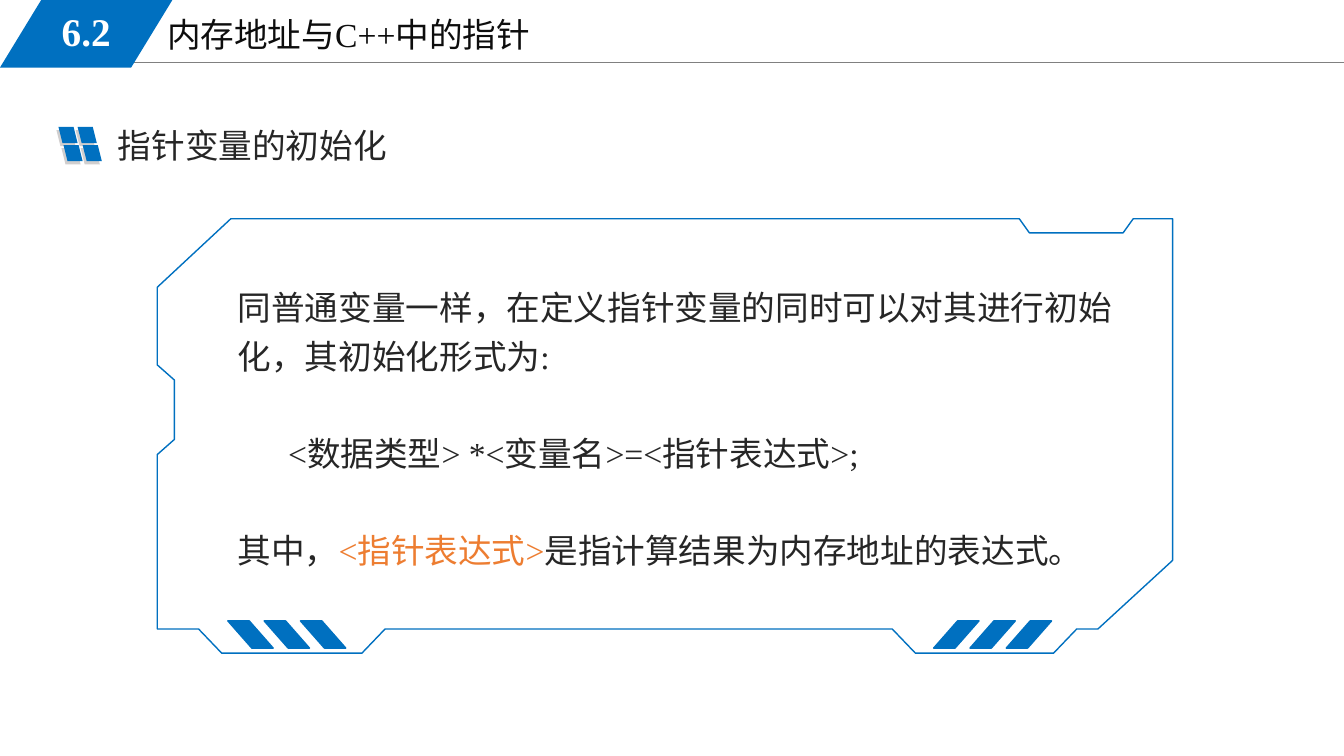
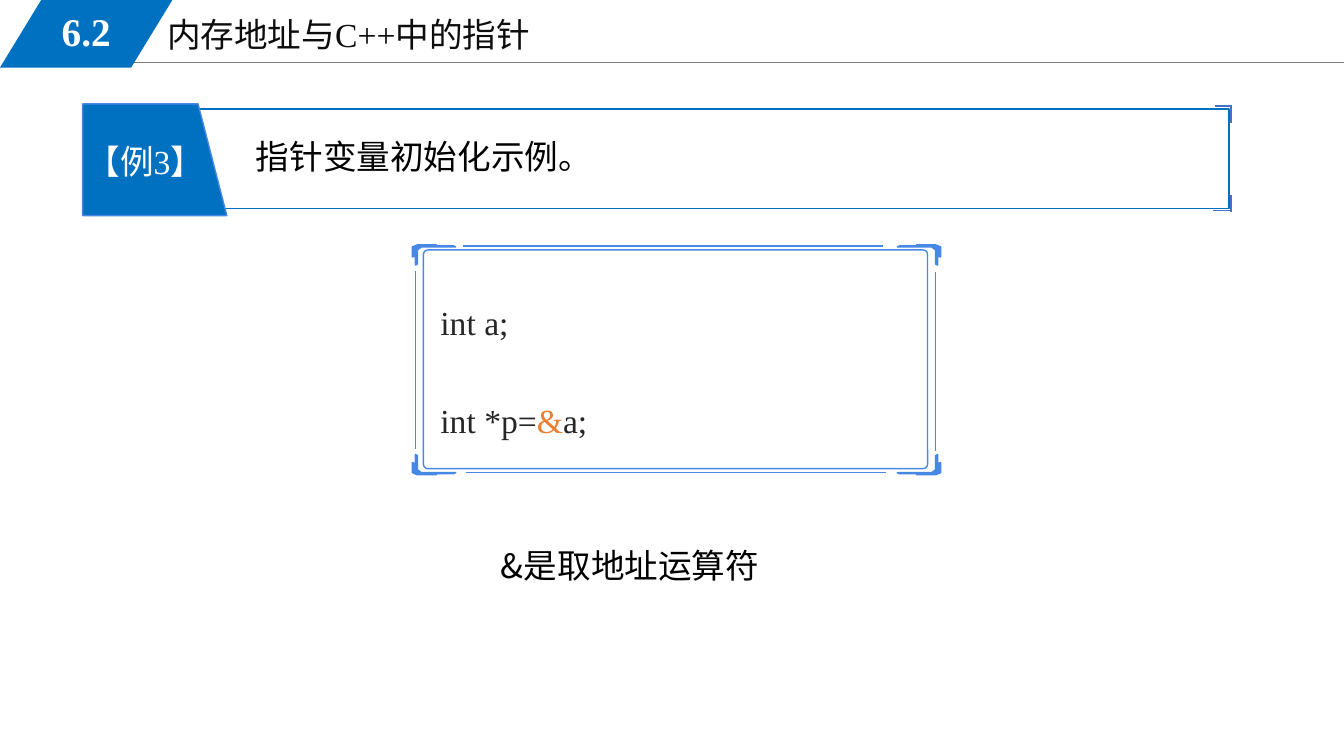
"""Build two slides on initialising pointer variables in C++."""
import pptx
import pptx.dml.color
import pptx.enum.shapes
import pptx.enum.text
import pptx.oxml.xmlchemy
import pptx.util

Inches = pptx.util.Inches
Pt = pptx.util.Pt
SHAPE = pptx.enum.shapes.MSO_SHAPE
ALIGN = pptx.enum.text.PP_ALIGN
ANCHOR = pptx.enum.text.MSO_ANCHOR

COLORS = {"blue": "0070C0", "bright": "4788E6", "mark": "4472C4", "rule": "808080",
          "shade": "D0CECE", "title": "0D0D0D", "body": "262626", "accent": "ED7D31",
          "white": "FFFFFF", "black": "000000"}
LATIN_FONT, CHINESE_FONT = "Times New Roman", "Noto Sans CJK SC"

SECTION_NUMBER, SECTION_TITLE = "6.2", "内存地址与C++中的指针"
TOPIC = "指针变量的初始化"
EXPLANATION = [
    [("同普通变量一样，在定义指针变量的同时可以对其进行初始化，其初始化形式为:", "body")],
    [("\t<数据类型> *<变量名>=<指针表达式>;", "body")],
    [("其中，", "body"), ("<指针表达式>", "accent"),
     ("是指计算结果为内存地址的表达式。", "body")],
]
EXAMPLE_LABEL, EXAMPLE_TITLE = "【例3】", "指针变量初始化示例。"
CODE = [
    [("int a;", "body")],
    [("int *p=", "body"), ("&", "accent"), ("a;", "body")],
]
NOTE = "&是取地址运算符"
SPACED = {"line_spacing": 1.2}
PARAGRAPH_GAP = Pt(35)

PANEL_OUTLINE = [
    (9.08, 6.48), (10.45, 6.48), (10.68, 6.24), (10.89, 6.24), (11.63, 5.56),
    (11.63, 2.17), (11.24, 2.17), (11.14, 2.31), (10.21, 2.31), (10.11, 2.17),
    (2.29, 2.17), (1.56, 2.85), (1.56, 3.62), (1.73, 3.77), (1.73, 4.36),
    (1.56, 4.51), (1.56, 6.24), (1.97, 6.24), (2.2, 6.48), (3.59, 6.48),
    (3.82, 6.24), (8.85, 6.24)]
STRIPE_GROUPS = [(2.26, True), (9.26, False)]
BRACKET_OUTLINE = [
    (4.14, 2.43), (4.33, 2.43), (4.31, 2.44), (4.5, 2.44), (4.52, 2.45),
    (4.18, 2.45), (4.14, 2.48), (4.14, 2.62), (4.12, 2.63), (4.12, 2.54),
    (4.09, 2.55), (4.09, 2.45)]
FRAME_CENTER = (6.71, 3.57)
FRAME_LINES = [(4.59, 2.44, 8.76, 2.44), (4.62, 4.69, 8.79, 4.69),
               (4.12, 2.69, 4.12, 4.45), (9.28, 2.7, 9.28, 4.47)]
CORNER_MARKS = [(12.05, 1.05, 12.22, 1.05), (12.21, 1.04, 12.21, 1.22),
                (12.21, 1.93, 12.21, 2.1), (12.21, 2.09, 12.03, 2.09)]


def rgb(name):
    return pptx.dml.color.RGBColor.from_string(COLORS[name])


def apply_format(target, values):
    for name, value in values.items():
        setattr(target, name, value)


def paint(shape, fill=None, line=None):
    shape.shadow.inherit = False
    if fill:
        shape.fill.solid()
        shape.fill.fore_color.rgb = rgb(fill)
    else:
        shape.fill.background()
    if line:
        shape.line.color.rgb = rgb(line)
        shape.line.width = Pt(1)
    else:
        shape.line.fill.background()


def add_shape(slide, kind, box, fill=None, line=None, adjustment=None, flip=False, rotation=0):
    shape = slide.shapes.add_shape(kind, *map(Inches, box))
    paint(shape, fill, line)
    shape.rotation = rotation
    if adjustment is not None:
        shape.adjustments[0] = adjustment
    if flip:
        shape._element.spPr.xfrm.set("flipH", "1")


def add_outline(slide, points, fill=None, line=None):
    start, *others = [(Inches(x), Inches(y)) for x, y in points]
    builder = slide.shapes.build_freeform(*start)
    builder.add_line_segments(others, close=True)
    paint(builder.convert_to_shape(), fill, line)


def add_line(slide, ends, color, width=1):
    connector = slide.shapes.add_connector(
        pptx.enum.shapes.MSO_CONNECTOR.STRAIGHT, *map(Inches, ends))
    connector.line.color.rgb = rgb(color)
    connector.line.width = Pt(width)
    connector._element.spPr.append(pptx.oxml.xmlchemy.OxmlElement("a:effectLst"))


def add_text(slide, box, paragraphs, font=None, layout=None, frame=None):
    text_frame = slide.shapes.add_textbox(*map(Inches, box)).text_frame
    apply_format(text_frame, {"word_wrap": True, **(frame or {})})
    for index, runs in enumerate(paragraphs):
        paragraph = text_frame.add_paragraph() if index else text_frame.paragraphs[0]
        apply_format(paragraph, layout or {})
        if index:
            paragraph.space_before = PARAGRAPH_GAP
        for text, color in runs:
            run = paragraph.add_run()
            run.text = text
            apply_format(run.font, {"name": LATIN_FONT, "size": Pt(24), **(font or {})})
            run.font.color.rgb = rgb(color)
            east_asian = pptx.oxml.xmlchemy.OxmlElement("a:ea")
            east_asian.set("typeface", CHINESE_FONT)
            run.font._element.append(east_asian)


def add_section_slide(presentation):
    slide = presentation.slides.add_slide(presentation.slide_layouts[6])
    add_line(slide, (1.13, 0.62, 13.33, 0.62), "rule", 0.75)
    add_text(slide, (1.56, 0.09, 5.67, 0.51), [[(SECTION_TITLE, "title")]])
    add_shape(slide, SHAPE.PARALLELOGRAM, (0, 0, 1.71, 0.67), "blue", adjustment=0.61)
    add_text(slide, (0.25, 0.02, 1.21, 0.58), [[(SECTION_NUMBER, "white")]],
             {"size": Pt(28), "bold": True}, {"alignment": ALIGN.CENTER},
             {"vertical_anchor": ANCHOR.MIDDLE})
    return slide


def add_topic(slide):
    for left, top, color in [(0.56, 1.29, "shade"), (0.58, 1.26, "blue")]:
        for row in range(2):
            for column in range(2):
                box = (left + 0.19 * column + 0.05 * row, top + 0.18 * row, 0.19, 0.16)
                add_shape(slide, SHAPE.PARALLELOGRAM, box, color, flip=True)
    add_text(slide, (1.07, 1.19, 5.99, 0.5), [[(TOPIC, "body")]])


def add_panel(slide):
    add_text(slide, (2.26, 2.72, 8.95, 2.97), EXPLANATION, layout=SPACED)
    add_outline(slide, PANEL_OUTLINE, line="blue")
    for left, flip in STRIPE_GROUPS:
        for index in range(3):
            add_shape(slide, SHAPE.PARALLELOGRAM, (left + 0.36 * index, 6.16, 0.45, 0.27),
                      "blue", "blue", 0.88, flip)


def add_example_banner(slide):
    add_shape(slide, SHAPE.RECTANGLE, (0.82, 1.08, 11.37, 0.99), line="blue")
    add_shape(slide, SHAPE.FLOWCHART_MANUAL_INPUT, (0.98, 0.87, 1.11, 1.43),
              "blue", "bright", rotation=90)
    add_text(slide, (0.76, 1.35, 1.56, 0.91), [[(EXAMPLE_LABEL, "white")]])
    add_text(slide, (2.44, 1.3, 9.86, 0.5), [[(EXAMPLE_TITLE, "black")]])
    for ends in CORNER_MARKS:
        add_line(slide, ends, "mark")


def add_code_frame(slide):
    add_text(slide, (4.27, 2.87, 4.93, 1.84), CODE, layout=SPACED)
    add_shape(slide, SHAPE.ROUNDED_RECTANGLE, (4.2, 2.48, 5, 2.17), line="bright",
              adjustment=0.02)
    center_x, center_y = FRAME_CENTER
    for side_x in (1, -1):
        for side_y in (1, -1):
            corner = [(center_x + side_x * (x - center_x), center_y + side_y * (y - center_y))
                      for x, y in BRACKET_OUTLINE]
            add_outline(slide, corner, "bright", "bright")
    for ends in FRAME_LINES:
        add_line(slide, ends, "bright")


def main():
    presentation = pptx.Presentation()
    apply_format(presentation, {"slide_width": Inches(13.33), "slide_height": Inches(7.5)})

    slide = add_section_slide(presentation)
    add_topic(slide)
    add_panel(slide)

    slide = add_section_slide(presentation)
    add_example_banner(slide)
    add_code_frame(slide)
    add_text(slide, (4.87, 5.36, 2.85, 0.5), [[(NOTE, "black")]],
             {"name": CHINESE_FONT}, frame={"word_wrap": False})

    presentation.save("out.pptx")


if __name__ == "__main__":
    main()
